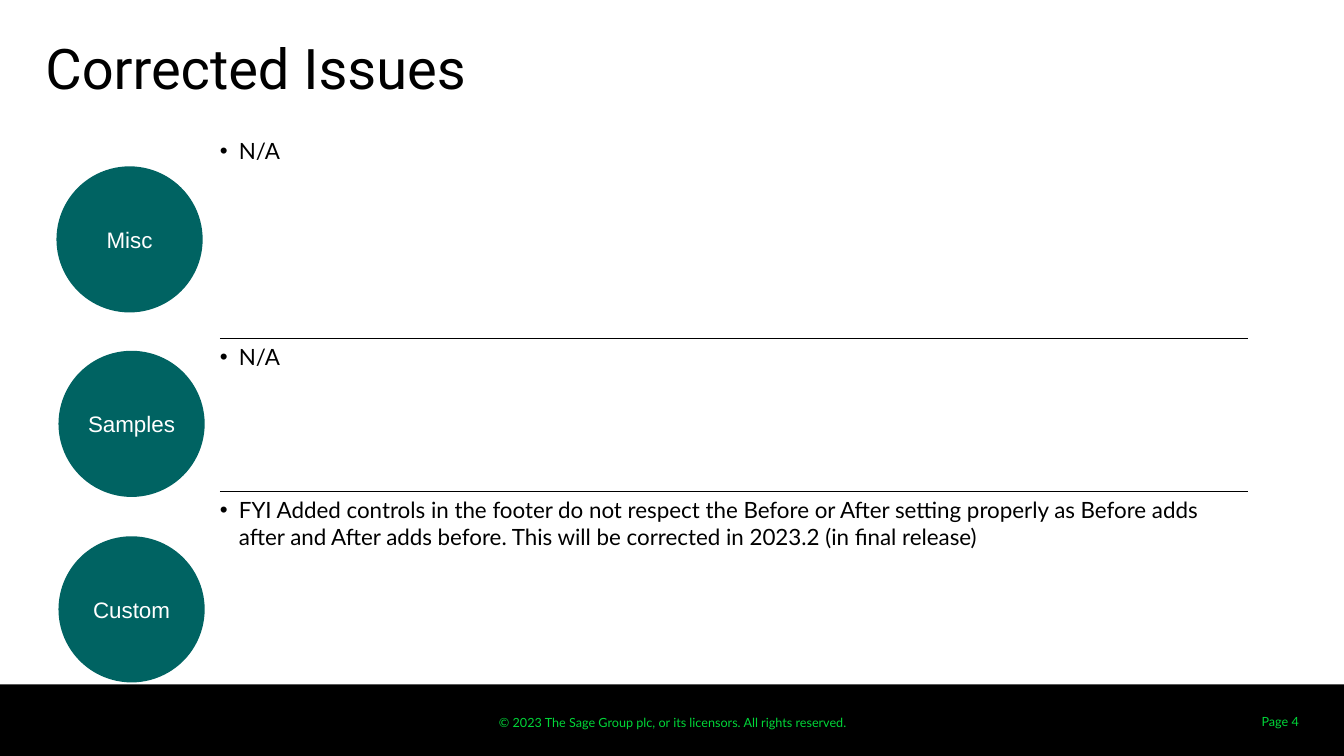
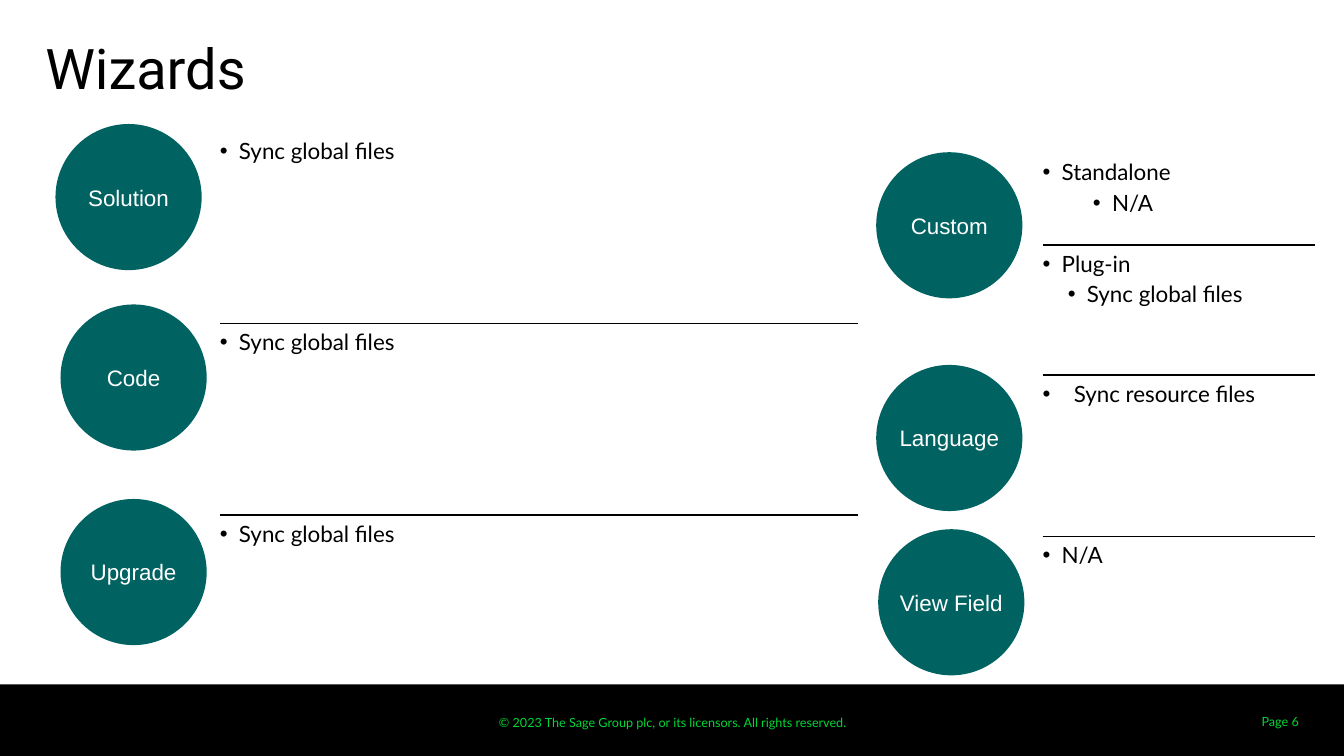
from dataclasses import dataclass

from lxml import etree
from pptx import Presentation
from pptx.dml.color import RGBColor
from pptx.enum.shapes import MSO_SHAPE
from pptx.enum.text import MSO_ANCHOR, PP_ALIGN
from pptx.oxml.ns import qn
from pptx.util import Inches, Pt

LEFT, CENTER, RIGHT = PP_ALIGN.LEFT, PP_ALIGN.CENTER, PP_ALIGN.RIGHT
TOP, MIDDLE = MSO_ANCHOR.TOP, MSO_ANCHOR.MIDDLE
OVAL, RECTANGLE = MSO_SHAPE.OVAL, MSO_SHAPE.RECTANGLE


@dataclass(frozen=True)
class Theme:
    ink: str = "000000"
    paper: str = "FFFFFF"
    teal: str = "006362"
    copyright_green: str = "00D638"
    page_green: str = "00D639"
    title_font: str = "Roboto"
    body_font: str = "Lato"
    badge_font: str = "Arial"
    title_size: int = 40
    body_size: int = 16
    footer_size: int = 9
    rule_width: int = 1
    no_style: str = "{2D5ABB26-0587-4C30-8999-92F81FD0307C}"


THEME = Theme()
WIDTH, HEIGHT = 13.33, 7.5
BAND = 0.71
BADGE = 1.45
HANG = 0.19
COPYRIGHT = "© 2023 The Sage Group plc, or its licensors. All rights reserved."

SLIDES = [
    {
        "title": "Corrected Issues",
        "page": "Page 4",
        "badges": [
            ("Misc", 0.56, 1.65),
            ("Samples", 0.58, 3.48),
            ("Custom", 0.58, 5.32),
        ],
        "tables": [
            {
                "at": (2.18, 1.31),
                "width": 10.2,
                "rows": [
                    (2.05, [("N/A", HANG, HANG)]),
                    (1.52, [("N/A", HANG, HANG)]),
                    (1.52, [(
                        "FYI Added controls in the footer do not respect the Before or After "
                        "setting properly as Before adds after and After adds before. "
                        "This will be corrected in 2023.2 (in final release)", HANG, HANG)]),
                ],
            },
        ],
    },
    {
        "title": "Wizards",
        "page": "Page 6",
        "badges": [
            ("Solution", 0.55, 1.23),
            ("Code", 0.6, 3.02),
            ("Upgrade", 0.6, 4.95),
            ("Custom", 8.69, 1.51),
            ("Language", 8.69, 3.62),
            ("View Field", 8.71, 5.25),
        ],
        "tables": [
            {
                "at": (2.18, 1.31),
                "width": 6.33,
                "rows": [(height, [("Sync global files", HANG, HANG)])
                         for height in (1.9, 1.9, 1.63)],
            },
            {
                "at": (10.34, 1.52),
                "width": 2.7,
                "rows": [
                    (0.91, [("Standalone", HANG, HANG), ("N/A", 0.69, HANG)]),
                    (1.29, [("Plug-in", HANG, HANG), ("Sync global files", 0.44, HANG)]),
                    (1.6, [("Sync resource files", 0.31, 0.31)]),
                    (1.47, [("N/A", HANG, HANG)]),
                ],
            },
        ],
    },
]


def style(paragraph, font, size, color, align=LEFT):
    paragraph.alignment = align
    for run in paragraph.runs:
        run.font.name = font
        run.font.size = Pt(size)
        run.font.color.rgb = RGBColor.from_string(color)


def set_margins(target, side, end):
    target.margin_left = target.margin_right = Inches(side)
    target.margin_top = target.margin_bottom = Inches(end)


def add_label(slide, text, box, font, size, color, align=LEFT, anchor=TOP, margins=(0, 0)):
    frame = slide.shapes.add_textbox(*map(Inches, box)).text_frame
    frame.word_wrap = True
    frame.vertical_anchor = anchor
    set_margins(frame, *margins)
    frame.text = text
    style(frame.paragraphs[0], font, size, color, align)


def add_block(slide, kind, box, color):
    block = slide.shapes.add_shape(kind, *map(Inches, box))
    block.shadow.inherit = False
    block.fill.solid()
    block.fill.fore_color.rgb = RGBColor.from_string(color)
    block.line.fill.background()
    return block


def add_frame(slide, title, page):
    add_block(slide, RECTANGLE, (0, HEIGHT - BAND, WIDTH, BAND), THEME.ink)
    add_label(slide, COPYRIGHT, (4.92, 7.04, 3.5, 0.25), THEME.body_font,
              THEME.footer_size, THEME.copyright_green, CENTER, margins=(0, 0.05))
    add_label(slide, title, (0.45, 0.33, 12.42, 0.65), THEME.title_font,
              THEME.title_size, THEME.ink)
    add_label(slide, page, (12.07, 6.96, 0.91, 0.4), THEME.body_font,
              THEME.footer_size, THEME.page_green, RIGHT, MIDDLE, (0.1, 0.05))


def add_badge(slide, text, left, top):
    frame = add_block(slide, OVAL, (left, top, BADGE, BADGE), THEME.teal).text_frame
    frame.word_wrap = True
    frame.vertical_anchor = MIDDLE
    set_margins(frame, 0, 0)
    frame.text = text
    style(frame.paragraphs[0], THEME.badge_font, THEME.body_size, THEME.paper, CENTER)


def add_rules(cell, edges):
    properties = cell._tc.get_or_add_tcPr()
    for position, edge in enumerate(edges):
        rule = etree.Element(qn(f"a:{edge}"), w=str(Pt(THEME.rule_width)))
        fill = etree.SubElement(rule, qn("a:solidFill"))
        etree.SubElement(fill, qn("a:srgbClr"), val=THEME.ink)
        properties.insert(position, rule)


def fill_bullets(cell, bullets):
    frame = cell.text_frame
    frame.text = "\n".join(text for text, _, _ in bullets)
    for paragraph, (_, indent, hang) in zip(frame.paragraphs, bullets):
        properties = paragraph._p.get_or_add_pPr()
        properties.set("marL", str(Inches(indent)))
        properties.set("indent", str(-Inches(hang)))
        etree.SubElement(properties, qn("a:buFont"), typeface="Arial")
        etree.SubElement(properties, qn("a:buChar"), char="•")
        paragraph.space_after = Pt(3)
        style(paragraph, THEME.body_font, THEME.body_size, THEME.ink)


def add_topics(slide, at, width, rows):
    total = sum(height for height, _ in rows)
    table = slide.shapes.add_table(len(rows), 1, *map(Inches, (*at, width, total))).table
    table.first_row = table.horz_banding = False
    table._tbl.tblPr.find(qn("a:tableStyleId")).text = THEME.no_style
    last = len(rows) - 1
    for index, (height, bullets) in enumerate(rows):
        table.rows[index].height = Inches(height)
        cell = table.cell(index, 0)
        set_margins(cell, 0, 0.05)
        cell.fill.background()
        fill_bullets(cell, bullets)
        add_rules(cell, ["lnT"] * (index > 0) + ["lnB"] * (index < last))


def main():
    deck = Presentation()
    deck.slide_width, deck.slide_height = Inches(WIDTH), Inches(HEIGHT)
    for content in SLIDES:
        slide = deck.slides.add_slide(deck.slide_layouts[6])
        add_frame(slide, content["title"], content["page"])
        for badge in content["badges"]:
            add_badge(slide, *badge)
        for topics in content["tables"]:
            add_topics(slide, **topics)
    deck.save("out.pptx")


if __name__ == "__main__":
    main()
